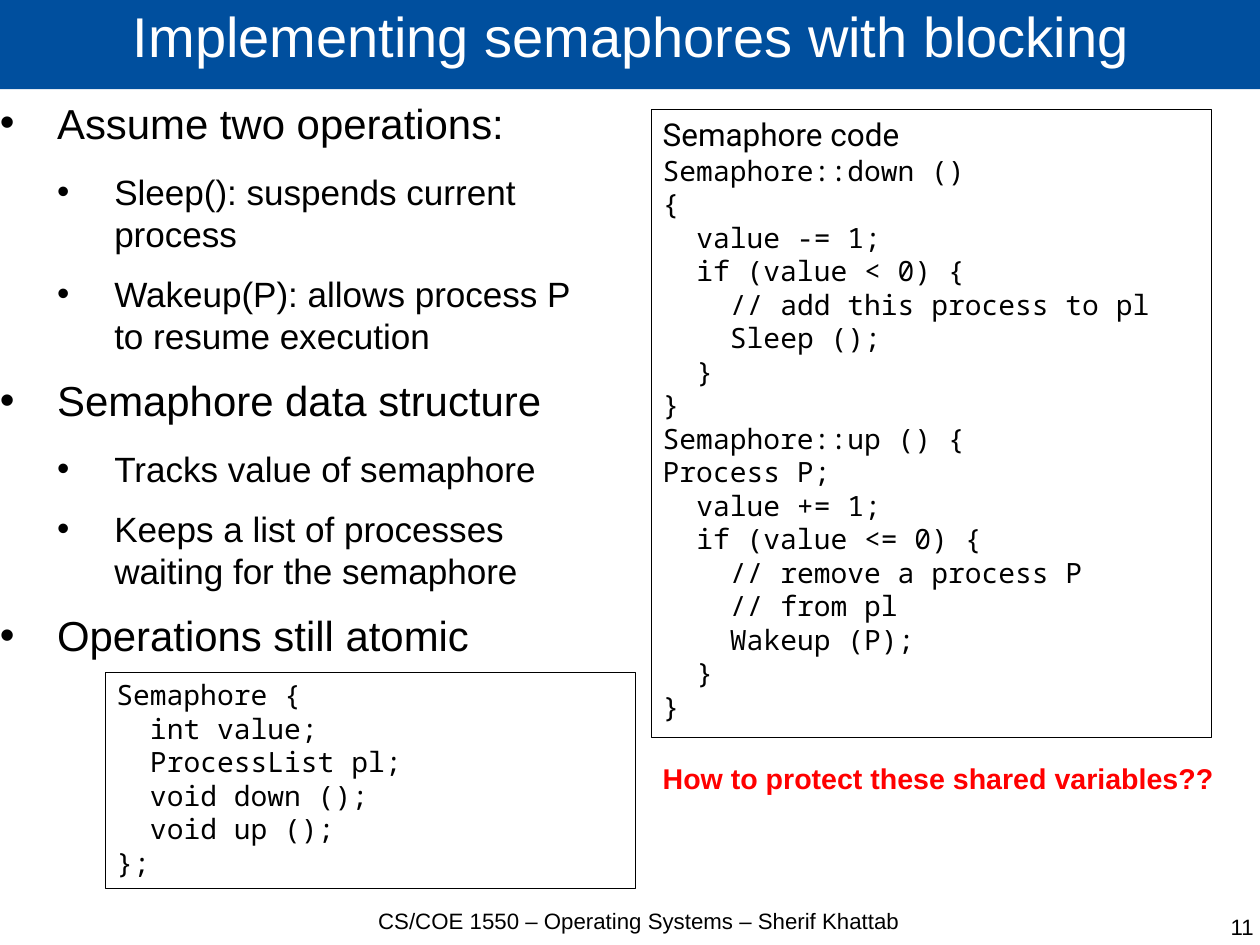
from lxml.etree import SubElement
from pptx import Presentation
from pptx.dml.color import RGBColor
from pptx.enum.shapes import MSO_SHAPE as Shape
from pptx.enum.text import MSO_ANCHOR as Anchor, MSO_AUTO_SIZE as Fit, PP_ALIGN as Align
from pptx.oxml.ns import qn
from pptx.util import Cm, Inches, Pt

BLUE = RGBColor(0x00, 0x4F, 0x9E)
BLACK = RGBColor(0x00, 0x00, 0x00)
WHITE = RGBColor(0xFF, 0xFF, 0xFF)
RED = RGBColor(0xFF, 0x00, 0x00)

BULLET_STEP = Inches(0.5)
CODE_STEP = Pt(21.17)

deck = Presentation()
deck.slide_width, deck.slide_height = Cm(28), Cm(21)
page = deck.slides.add_slide(deck.slide_layouts[5])


def set_frame(box, inset=(0, 0), **settings):
    frame = box.text_frame
    across, down = (Inches(side) for side in inset)
    values = dict(margin_left=across, margin_right=across,
                  margin_top=down, margin_bottom=down,
                  word_wrap=True, auto_size=Fit.NONE, vertical_anchor=Anchor.TOP)
    for name, value in {**values, **settings}.items():
        setattr(frame, name, value)
    return frame


def write_line(frame, text, size, font="Arial", color=BLACK, bold=False, **layout):
    para = frame.paragraphs[0]
    if para.runs:
        para = frame.add_paragraph()
    span = para.add_run()
    span.text = text
    span.font.color.rgb = color
    for name, value in dict(name=font, size=Pt(size), bold=bold).items():
        setattr(span.font, name, value)
    for name, value in {"alignment": Align.LEFT, **layout}.items():
        setattr(para, name, value)
    return para


title = page.shapes.title
title.left, title.top, title.width, title.height = map(Inches, (0, -0.02, 11.04, 0.8))
title.fill.solid()
title.fill.fore_color.rgb = BLUE
write_line(set_frame(title, vertical_anchor=Anchor.MIDDLE),
           "Implementing semaphores with blocking", 35.3, color=WHITE,
           alignment=Align.CENTER, line_spacing=0.69)

bullets = [
    (0, "Assume two operations:"),
    (1, "Sleep(): suspends current process"),
    (1, "Wakeup(P): allows process P to resume execution"),
    (0, "Semaphore data structure"),
    (1, "Tracks value of semaphore"),
    (1, "Keeps a list of processes waiting for the semaphore"),
    (0, "Operations still atomic"),
]
body = page.shapes.add_textbox(*map(Inches, (0, 0.85, 5.3, 7.12)))
frame = set_frame(body)
for level, text in bullets:
    size, gap = [(26.4, 14.2), (22.1, 11.4)][level]
    para = write_line(frame, text, size, level=level, space_after=Pt(gap))
    props = para._p.get_or_add_pPr()
    props.set("marL", str(BULLET_STEP * (level + 1)))
    props.set("indent", str(-BULLET_STEP))
    SubElement(props, qn("a:buFont")).set("typeface", "Arial")
    SubElement(props, qn("a:buChar")).set("char", "•")

structure_code = [
    (0, "Semaphore {"),
    (1, "int value;"),
    (1, "ProcessList pl;"),
    (1, "void down ();"),
    (1, "void up ();"),
    (0, "};"),
]
operations_code = [
    (0, "Semaphore::down ()"),
    (0, "{"),
    (1, "value -= 1;"),
    (1, "if (value < 0) {"),
    (2, "// add this process to pl"),
    (2, "Sleep ();"),
    (1, "}"),
    (0, "}"),
    (0, "Semaphore::up () {"),
    (0, "Process P;"),
    (1, "value += 1;"),
    (1, "if (value <= 0) {"),
    (2, "// remove a process P"),
    (2, "// from pl"),
    (2, "Wakeup (P);"),
    (1, "}"),
    (0, "}"),
]
panels = [
    ((0.92, 5.88, 4.64, 1.89), None, structure_code),
    ((5.7, 0.96, 4.9, 5.49), "Semaphore code", operations_code),
]
for place, heading, code in panels:
    panel = page.shapes.add_shape(Shape.RECTANGLE, *map(Inches, place))
    panel.shadow.inherit = False
    panel.fill.background()
    panel.line.color.rgb = BLACK
    panel.line.width = Pt(0.5)
    frame = set_frame(panel, (0.1, 0.05), auto_size=Fit.SHAPE_TO_FIT_TEXT)
    if heading:
        write_line(frame, heading, 19.8, "Roboto")
    for depth, text in code:
        para = write_line(frame, text, 17.6, "Noto Sans Mono")
        para._p.get_or_add_pPr().set("marL", str(CODE_STEP * depth))

question = page.shapes.add_textbox(*map(Inches, (5.7, 6.69, 5.07, 0.32)))
write_line(set_frame(question, (0.1, 0.05), word_wrap=False, auto_size=Fit.SHAPE_TO_FIT_TEXT),
           "How to protect these shared variables??", 18, color=RED, bold=True,
           line_spacing=0.69)

footers = [
    ((3.07, 7.94, 5.04, 0.55), "CS/COE 1550 – Operating Systems – Sherif Khattab", Align.CENTER),
    ((8.44, 7.99, 2.53, 0.55), "11", Align.RIGHT),
]
for place, text, alignment in footers:
    footer = page.shapes.add_textbox(*map(Inches, place))
    write_line(set_frame(footer), text, 14, alignment=alignment)

deck.save("out.pptx")
